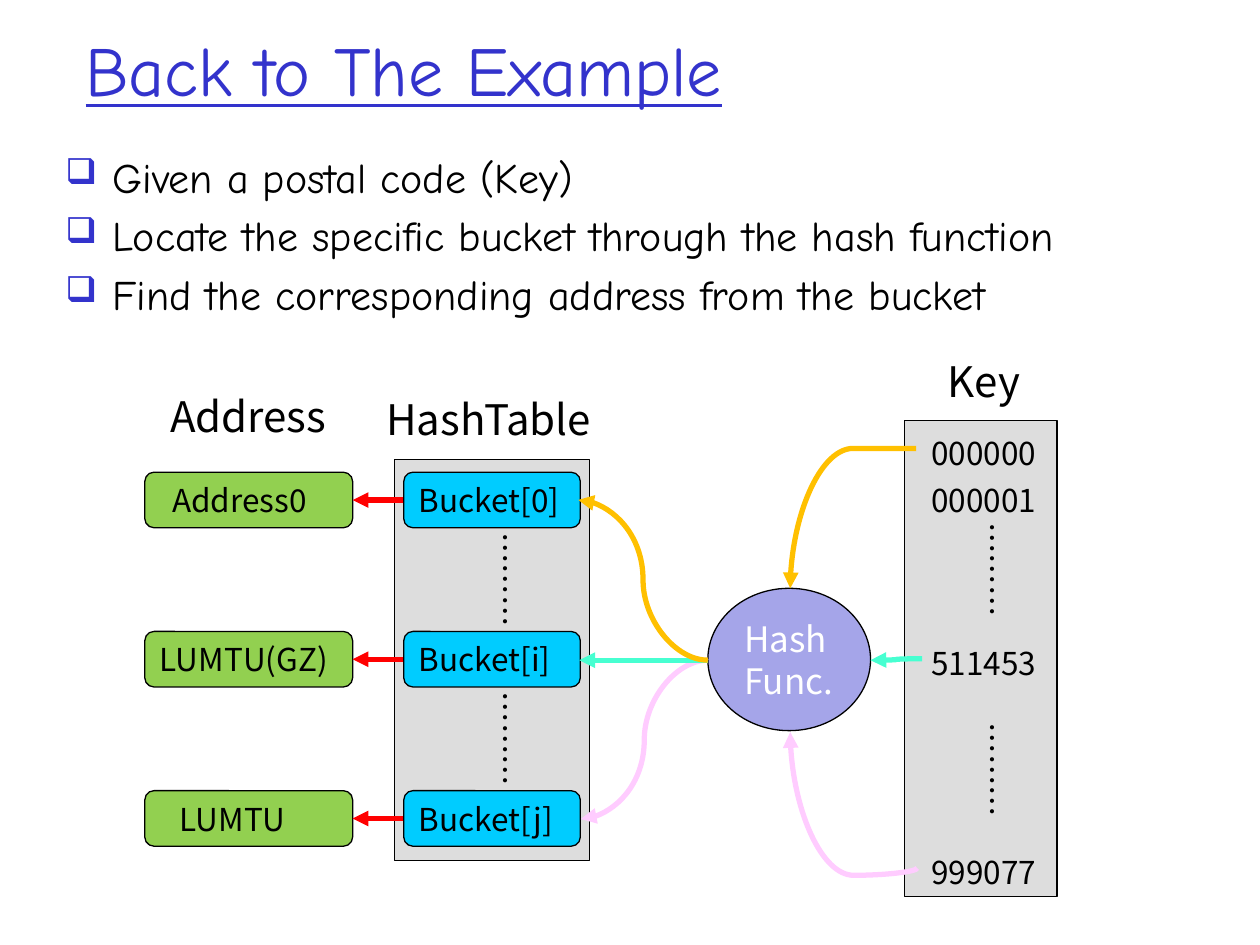
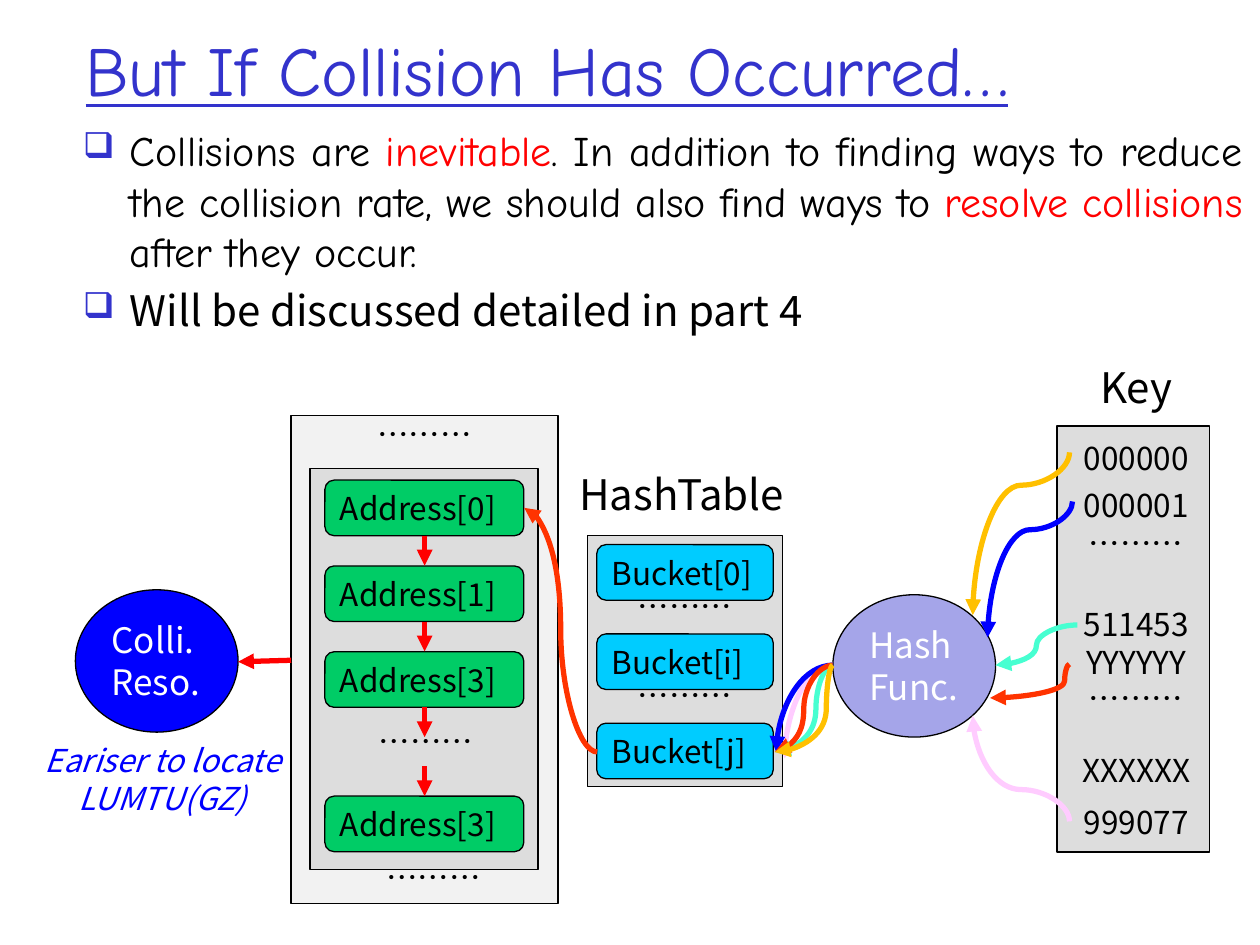
from lxml import etree
from pptx import Presentation
from pptx.dml.color import RGBColor
from pptx.enum.shapes import MSO_CONNECTOR, MSO_SHAPE
from pptx.enum.text import MSO_ANCHOR, PP_ALIGN
from pptx.oxml.ns import qn
from pptx.util import Cm, Pt

RECTANGLE = MSO_SHAPE.RECTANGLE
ROUNDED = MSO_SHAPE.ROUNDED_RECTANGLE
OVAL = MSO_SHAPE.OVAL
STRAIGHT, CURVE = MSO_CONNECTOR.STRAIGHT, MSO_CONNECTOR.CURVE
LEFT, CENTER, JUSTIFY = PP_ALIGN.LEFT, PP_ALIGN.CENTER, PP_ALIGN.JUSTIFY
MIDDLE = MSO_ANCHOR.MIDDLE

# Shared style
HAND_FONT = "Comic Neue"
SANS_FONT = "Noto Sans CJK JP"
INDIGO = RGBColor(0x33, 0x33, 0xCC)
BLACK = RGBColor(0, 0, 0)
WHITE = RGBColor(0xFF, 0xFF, 0xFF)
RED = RGBColor(0xFF, 0, 0)
BLUE = RGBColor(0, 0, 0xFF)
AMBER = RGBColor(0xFF, 0xC0, 0)
PINK = RGBColor(0xFF, 0xCC, 0xFF)
MINT = RGBColor(0x47, 0xFF, 0xD1)
EMBER = RGBColor(0xFF, 0x33, 0)
SKY = RGBColor(0, 0xCC, 0xFF)
LIME = RGBColor(0x92, 0xD0, 0x50)
GREEN = RGBColor(0, 0xCC, 0x66)
LAVENDER = RGBColor(0xA5, 0xA5, 0xE9)
PANEL_GRAY = RGBColor(0xDD, 0xDD, 0xDD)
PALE_GRAY = RGBColor(0xF2, 0xF2, 0xF2)

# Shared sizes in centimetres
BOX_HEIGHT = 1.12
BUCKET_WIDTH = 3.56
TABLE_WIDTH = 3.94
KEY_WIDTH = 3.07
OVAL_WIDTH, OVAL_HEIGHT = 3.28, 2.87
DOTS = "………"


def style_run(run, size, color, font=SANS_FONT):
    run.font.size = Pt(size)
    run.font.name = font
    run.font.color.rgb = color


def add_title(slide, text):
    title = slide.shapes.title
    title.left, title.top, title.width, title.height = Cm(1.47), Cm(0.64), Cm(21.59), Cm(1.5)
    title.text_frame.text = text
    title.text_frame.vertical_anchor = MIDDLE
    paragraph = title.text_frame.paragraphs[0]
    paragraph.alignment = LEFT
    style_run(paragraph.runs[0], 40, INDIGO, HAND_FONT)
    paragraph.runs[0].font.underline = True


def add_bullet(paragraph):
    paragraph.space_before = Pt(4.8)
    properties = paragraph._p.get_or_add_pPr()
    properties.set("marL", str(Cm(0.95)))
    properties.set("indent", str(Cm(-0.95)))
    color = etree.SubElement(properties, qn("a:buClr"))
    etree.SubElement(color, qn("a:srgbClr")).set("val", str(INDIGO))
    etree.SubElement(properties, qn("a:buSzPct")).set("val", "85000")
    etree.SubElement(properties, qn("a:buChar")).set("char", "❑")


def add_bullets(slide, left, top, width, height, items):
    """Each item is (font, alignment, [(text, color), ...])."""
    body = slide.shapes.add_textbox(Cm(left), Cm(top), Cm(width), Cm(height))
    frame = body.text_frame
    frame.word_wrap = True
    for index, (font, alignment, pieces) in enumerate(items):
        paragraph = frame.add_paragraph() if index else frame.paragraphs[0]
        paragraph.alignment = alignment
        add_bullet(paragraph)
        for text, color in pieces:
            run = paragraph.add_run()
            run.text = text
            style_run(run, 24, color, font)


def add_label(slide, text, center, top, size=18, color=BLACK, width=5.74,
              height=1.02, rotation=0, italic=False):
    label = slide.shapes.add_textbox(Cm(center - width / 2), Cm(top), Cm(width), Cm(height))
    label.rotation = rotation
    label.text_frame.word_wrap = True
    label.text_frame.text = text
    paragraph = label.text_frame.paragraphs[0]
    paragraph.alignment = CENTER
    style_run(paragraph.runs[0], size, color)
    paragraph.runs[0].font.italic = italic


def add_box(slide, kind, left, top, width, height, fill, text="", size=18,
            color=BLACK, inset=0.25):
    shape = slide.shapes.add_shape(kind, Cm(left), Cm(top), Cm(width), Cm(height))
    shape.shadow.inherit = False
    shape.fill.solid()
    shape.fill.fore_color.rgb = fill
    shape.line.color.rgb = BLACK
    shape.line.width = Pt(0.75)
    if text:
        shape.text_frame.margin_left = Cm(inset)
        shape.text_frame.text = text
        paragraph = shape.text_frame.paragraphs[0]
        paragraph.alignment = LEFT
        style_run(paragraph.runs[0], size, color)


def add_oval(slide, left, top, fill, text):
    add_box(slide, OVAL, left, top, OVAL_WIDTH, OVAL_HEIGHT, fill, text, 20, WHITE)


def add_arrow(slide, start, end, color, kind=STRAIGHT):
    connector = slide.shapes.add_connector(kind, *map(Cm, start + end))
    connector.line.color.rgb = color
    connector.line.width = Pt(3)
    etree.SubElement(connector.line._get_or_add_ln(), qn("a:tailEnd")).set("type", "triangle")
    etree.SubElement(connector._element.spPr, qn("a:effectLst"))
    return connector


def add_curve(slide, start, end, color, bend=50):
    """Leave start sideways; bend is the turning point in percent, None a quarter turn."""
    connector = add_arrow(slide, start, end, color, CURVE)
    geometry = connector._element.spPr.find(qn("a:prstGeom"))
    if bend is None:
        geometry.set("prst", "curvedConnector2")
    else:
        guide = etree.SubElement(geometry.find(qn("a:avLst")), qn("a:gd"))
        guide.set("name", "adj1")
        guide.set("fmla", f"val {round(bend * 1000)}")
    return connector


def add_upright_curve(slide, start, end, color, bend):
    """Leave start and reach end vertically, as a curve turned by a quarter."""
    (x1, y1), (x2, y2) = start, end
    turn = 1 if y2 > y1 else -1
    middle_x, middle_y = (x1 + x2) / 2, (y1 + y2) / 2
    half_x, half_y = turn * (y2 - y1) / 2, turn * (x1 - x2) / 2
    connector = add_curve(slide, (middle_x - half_x, middle_y - half_y),
                          (middle_x + half_x, middle_y + half_y), color, bend)
    angle = 90 if turn > 0 else 270
    connector._element.spPr.find(qn("a:xfrm")).set("rot", str(angle * 60000))


def add_hash_table(slide, left, top, height, step, first, upright_dots):
    center = left + TABLE_WIDTH / 2
    add_box(slide, RECTANGLE, left, top, TABLE_WIDTH, height, PANEL_GRAY)
    add_label(slide, "HashTable", center - 0.07, top - 1.47, 24)
    for row, name in enumerate(("Bucket[0]", "Bucket[i]", "Bucket[j]")):
        row_top = top + first + row * step
        add_box(slide, ROUNDED, left + 0.19, row_top, BUCKET_WIDTH, BOX_HEIGHT, SKY, name)
        if row:
            dots_top = row_top + (BOX_HEIGHT - step) / 2 - 0.51
            if upright_dots:
                add_label(slide, DOTS, center + 0.28, dots_top, rotation=90)
            else:
                add_label(slide, DOTS, center, dots_top - 0.22)


def add_key_column(slide, left, top, height, entries, upright_dots):
    """Each entry is (text, distance below the column's top)."""
    center = left + KEY_WIDTH / 2 + 0.06
    add_box(slide, RECTANGLE, left, top, KEY_WIDTH, height, PANEL_GRAY)
    add_label(slide, "Key", center, top - 1.43, 24)
    for text, offset in entries:
        turned = upright_dots and text == DOTS
        add_label(slide, text, center + (0.18 if turned else 0), top + offset,
                  rotation=90 if turned else 0)


def add_address_column(slide, left, top, step):
    width = 4.19
    add_label(slide, "Address", left + 2.08, top - 1.77, 24)
    for row, (name, inset) in enumerate((("Address0", 0.5), ("LUMTU(GZ)", 0.25), ("LUMTU", 0.65))):
        row_top = top + row * step
        middle = row_top + BOX_HEIGHT / 2
        add_box(slide, ROUNDED, left, row_top, width, BOX_HEIGHT, LIME, name, inset=inset)
        add_arrow(slide, (left + width + 1.02, middle), (left + width, middle), RED)


def add_address_chain(slide, left, top):
    width, height, arrow_length = 5.38, 9.83, 0.6
    center = left + width / 2
    add_box(slide, RECTANGLE, left, top, width, height, PALE_GRAY)
    add_box(slide, RECTANGLE, left + 0.38, top + 1.07, 4.6, 8.08, PANEL_GRAY)
    for offset, shift in ((-0.13, 0), (6.05, 0.03), (8.79, 0.18)):
        add_label(slide, DOTS, center + shift, top + offset)
    step, first, last = 1.73, 1.3, 7.67
    links = [first + row * step for row in range(3)]
    for name, offset in zip(("Address[0]", "Address[1]", "Address[3]", "Address[3]"), links + [last]):
        add_box(slide, ROUNDED, left + 0.68, top + offset, 4.01, BOX_HEIGHT, GREEN, name)
    for offset in [link + BOX_HEIGHT for link in links] + [last - arrow_length]:
        add_arrow(slide, (center, top + offset), (center, top + offset + arrow_length), RED)


def build_example_slide(slide):
    add_title(slide, "Back to The Example")
    add_bullets(slide, 1.07, 2.92, 24.3, 3.4, [
        (HAND_FONT, LEFT, [(text, BLACK)]) for text in (
            "Given a postal code (Key)",
            "Locate the specific bucket through the hash function",
            "Find the corresponding address from the bucket")])

    # Diagram blocks
    step = 3.21
    add_hash_table(slide, 7.95, 9.27, 8.08, step, 0.25, True)
    add_address_column(slide, 2.92, 9.52, step)
    add_key_column(slide, 18.24, 8.48, 9.6, [
        ("000000", 0.15), ("000001", 1.09), (DOTS, 2.49),
        ("511453", 4.37), (DOTS, 6.53), ("999077", 8.59)], True)
    add_oval(slide, 14.27, 11.86, LAVENDER, "Hash Func.")

    # Keys into the hash function
    add_upright_curve(slide, (18.47, 9.04), (15.93, 11.86), AMBER, 0)
    add_upright_curve(slide, (18.49, 17.5), (15.93, 14.76), PINK, -5.4)
    add_curve(slide, (18.59, 13.28), (17.55, 13.31), MINT)

    # Hash function to the buckets
    for end, color in (((11.71, 16.51), PINK), ((11.68, 13.31), MINT), ((11.66, 10.08), AMBER)):
        add_curve(slide, (14.27, 13.31), end, color)


def build_collision_slide(slide):
    add_title(slide, "But If Collision Has Occurred…")
    add_bullets(slide, 1.42, 2.39, 23.88, 3.99, [
        (HAND_FONT, JUSTIFY, [
            ("Collisions are ", BLACK), ("inevitable", RED),
            (". In addition to finding ways to reduce the collision rate, "
             "we should also find ways to ", BLACK),
            ("resolve collisions ", RED), ("after they occur.", BLACK)]),
        (SANS_FONT, LEFT, [("Will be discussed detailed in part 4", BLACK)])])

    # Diagram blocks
    add_address_chain(slide, 5.87, 8.38)
    add_hash_table(slide, 11.84, 10.8, 5.05, 1.8, 0.18, False)
    add_key_column(slide, 21.31, 8.59, 8.59, [
        ("000000", 0.13), ("000001", 1.09), (DOTS, 1.85), ("511453", 3.48),
        ("YYYYYY", 4.24), (DOTS, 4.98), ("XXXXXX", 6.43), ("999077", 7.47)], False)
    add_oval(slide, 16.79, 11.99, LAVENDER, "Hash Func.")

    # Collision resolution
    add_oval(slide, 1.52, 11.89, BLUE, "Colli. Reso.")
    add_label(slide, "Eariser to locate LUMTU(GZ)", 3.28, 14.81, color=BLUE,
              width=6.4, height=1.8, italic=True)
    add_arrow(slide, (5.87, 13.31), (4.8, 13.34), RED)

    # Keys into the hash function
    for start, end, color, bend in (
            ((21.56, 9.12), (19.61, 12.4), AMBER, 20.2),
            ((21.62, 10.11), (19.91, 12.85), BLUE, 20.8),
            ((21.56, 16.56), (19.61, 14.43), PINK, 30.1)):
        add_upright_curve(slide, start, end, color, bend)
    add_curve(slide, (21.72, 12.6), (20.07, 13.41), MINT)
    add_curve(slide, (21.56, 13.39), (19.96, 14.07), EMBER, 6.1)

    # All keys land in one bucket, which leads to the address chain
    for end, color, bend in (
            ((15.82, 15.29), PINK, None), ((15.62, 15.16), MINT, 29.1),
            ((15.65, 15.16), BLUE, None), ((15.62, 15.16), EMBER, 50),
            ((15.62, 15.16), AMBER, 11.2)):
        add_curve(slide, (16.79, 13.41), end, color, bend)
    add_curve(slide, (12.04, 15.16), (10.57, 10.24), EMBER)


def main():
    presentation = Presentation()
    presentation.slide_width, presentation.slide_height = Cm(25.4), Cm(19.05)
    title_only = presentation.slide_layouts[5]
    for build in (build_example_slide, build_collision_slide):
        build(presentation.slides.add_slide(title_only))
    presentation.save("out.pptx")


if __name__ == "__main__":
    main()
